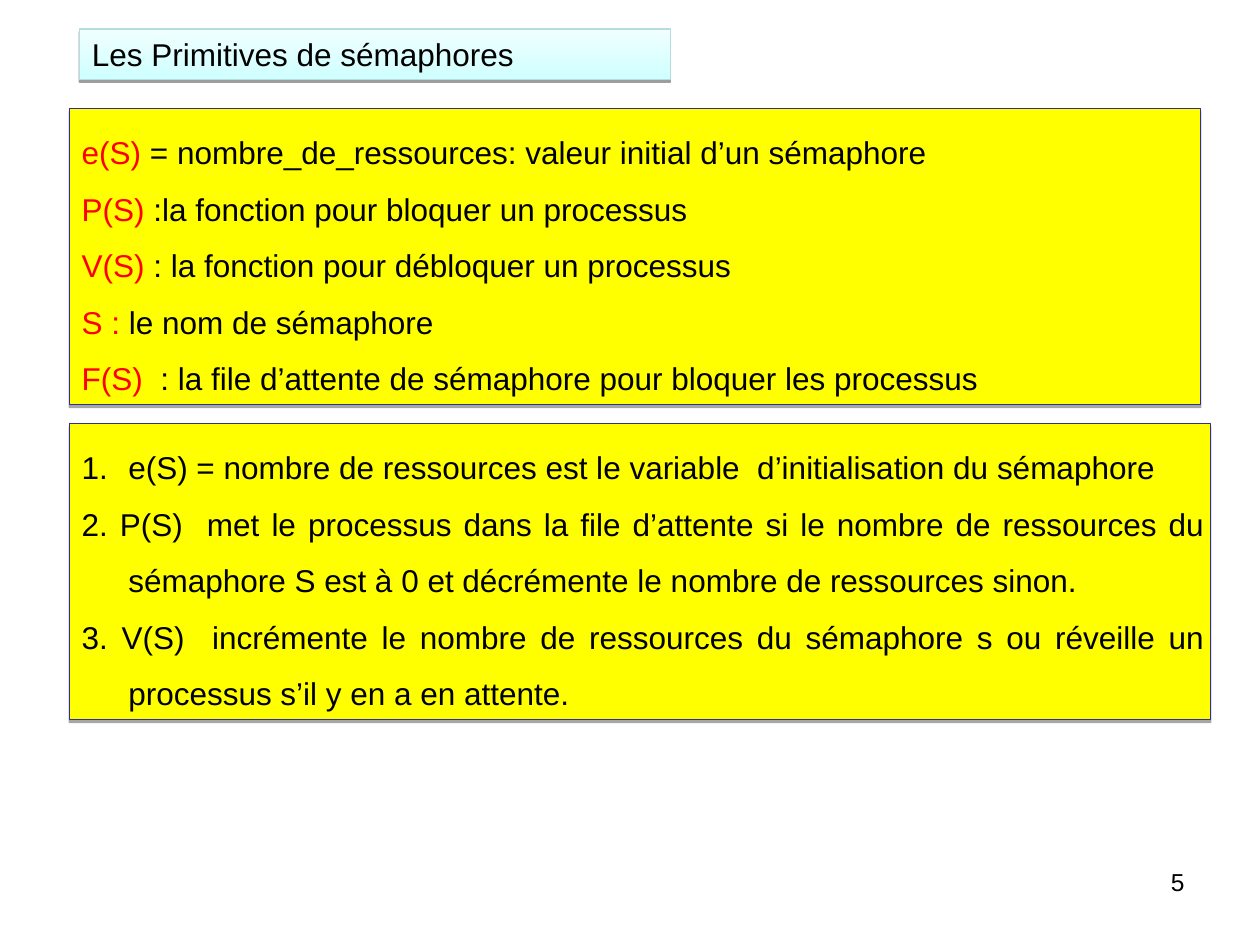
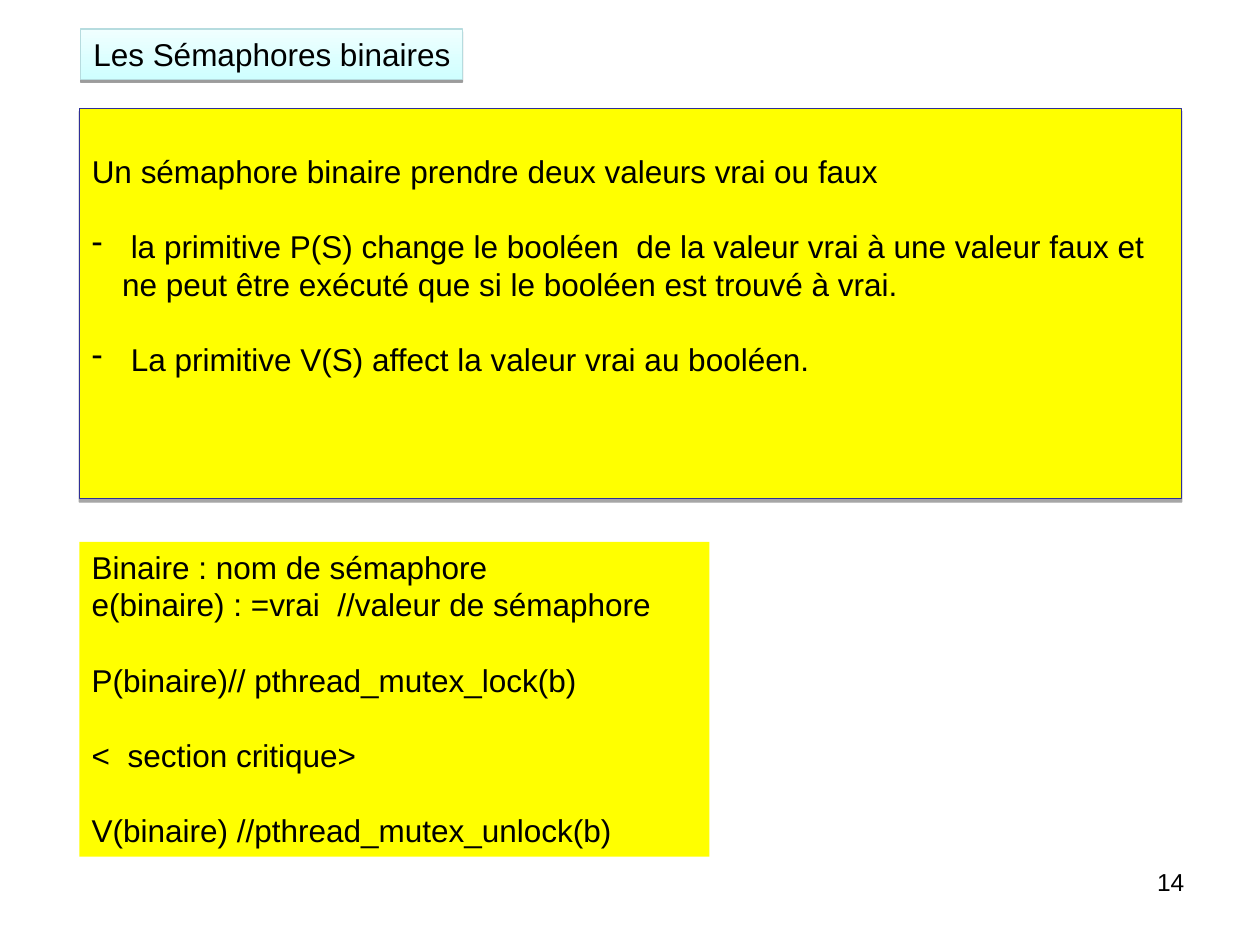
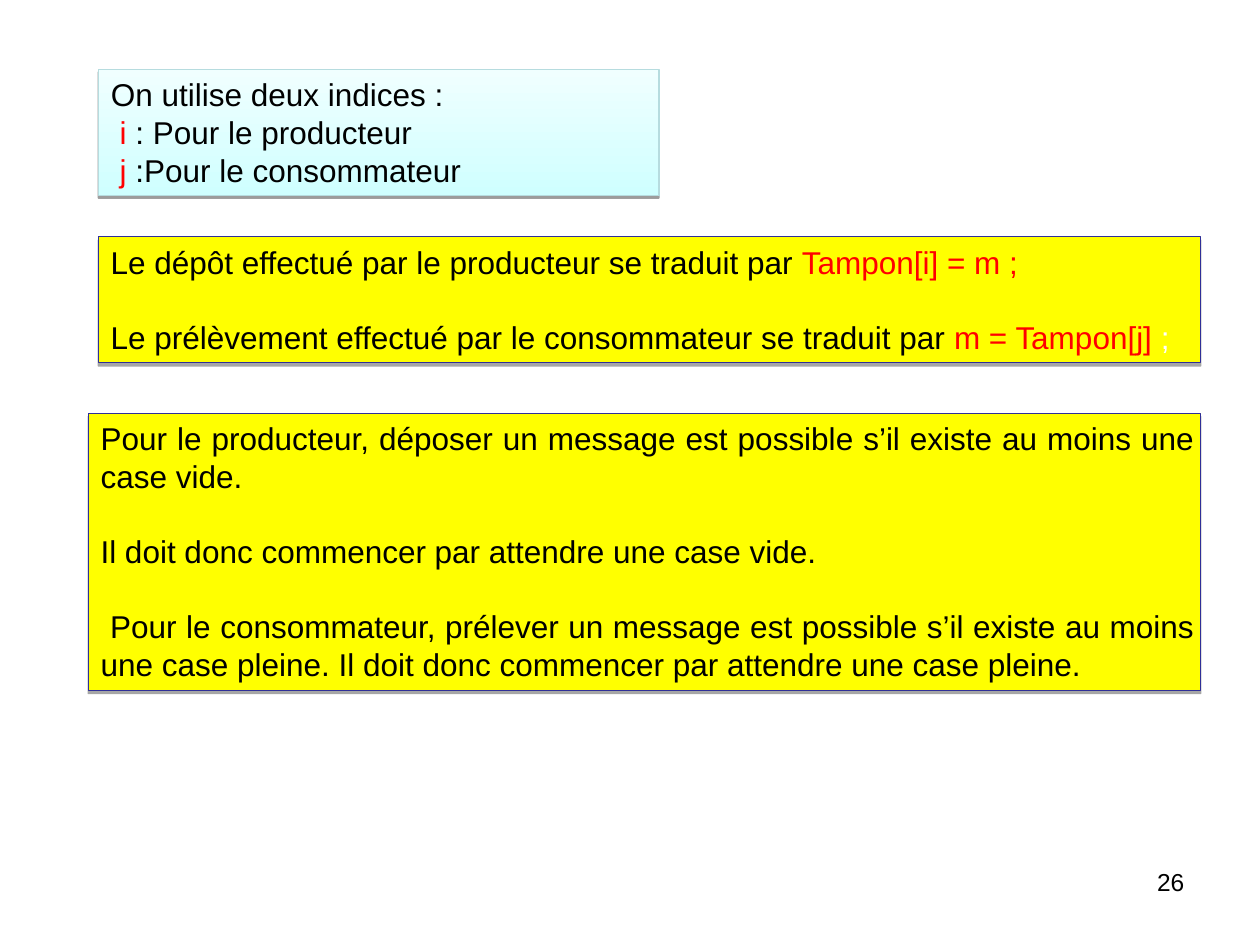
from dataclasses import dataclass
from lxml import etree
from pptx import Presentation, util as u
from pptx.dml.color import RGBColor
from pptx.enum import shapes, text
from pptx.oxml.ns import qn


@dataclass(frozen=True)
class Theme:
    font: str = "Arial"
    size: int = 18
    small: int = 14
    lead: float = 21.5  # height of one line, in points
    ink: str = "000000"
    red: str = "FF0000"
    white: str = "FFFFFF"
    body: str = "FFFF00"
    edge: str = "2F2F98"
    pale: str = "F0FFFF"
    aqua: str = "CFFFFF"
    rim: str = "B6DCDF"


T = Theme()
CELL = u.Inches(0.1)  # grid of 100 columns by 75 rows
COLS, ROWS = 100, 75
rgb = RGBColor.from_string


def write(box, lines, size=T.size, lead=T.lead, align="LEFT", gaps=(), top=0.5,
          hang=0, marks=None):
    """Fill a box; parts between ~ are red, gaps are lines set one line lower."""
    frame = box.text_frame
    frame.word_wrap = True
    frame.auto_size = text.MSO_AUTO_SIZE.NONE
    frame.vertical_anchor = text.MSO_ANCHOR.TOP
    frame.margin_left, frame.margin_right = CELL, CELL // 2
    frame.margin_top, frame.margin_bottom = int(top * CELL), 0
    for i, line in enumerate(lines):
        par = frame.paragraphs[0] if i == 0 else frame.add_paragraph()
        par.alignment = text.PP_ALIGN[align]
        par.line_spacing = u.Pt(lead)
        par.space_before = u.Pt(T.lead if i in gaps else 0)
        if hang:
            prop = par._p.get_or_add_pPr()
            prop.set("marL", str(int(hang * CELL)))
            prop.set("indent", str(int(-hang * CELL)))
            if marks and i in marks:
                tag, key, val = marks[i]
                etree.SubElement(prop, qn(tag)).set(key, val)
        for j, part in enumerate(line.split("~")):
            if part:
                run = par.add_run()
                run.text = part
                run.font.name, run.font.size = T.font, u.Pt(size)
                run.font.color.rgb = rgb(T.red if j % 2 else T.ink)


def frame_box(box, edge, alpha, drop):
    """Give a box its thin line and the hard shadow below it."""
    box.line.color.rgb = rgb(edge)
    box.line.width = u.Pt(0.75)
    box.shadow.inherit = False
    fx = box._element.spPr.find(qn("a:effectLst"))
    cast = etree.SubElement(fx, qn("a:outerShdw"), dist=str(u.Pt(drop)),
                            dir="5400000", rotWithShape="0")
    tone = etree.SubElement(cast, qn("a:srgbClr"), val=T.ink)
    etree.SubElement(tone, qn("a:alpha"), val=str(alpha * 1000))


# Content: number, title place and lines, then body boxes
dash = ("a:buChar", "char", "-")
count = ("a:buAutoNum", "type", "arabicPeriod")
wide = {"lead": 1.5 * T.lead}
pages = [
    (5, (6.3, 2.3, 46.9, 4), ["Les Primitives de sémaphores"], [
        ((5.5, 8.6, 89.8, 23.5), True, [
            "~e(S) ~= nombre_de_ressources: valeur initial d’un sémaphore",
            "~P(S)~ :la fonction pour bloquer un processus",
            "~V(S) ~: la fonction pour débloquer un processus",
            "~S :~ le nom de sémaphore",
            "~F(S)  ~: la file d’attente de sémaphore pour bloquer les processus",
        ], wide),
        ((5.5, 33.6, 90.6, 23.5), True, [
            "e(S) = nombre de ressources est le variable  d’initialisation du sémaphore",
            "2. P(S)  met le processus dans la file d’attente si le nombre de "
            "ressources du sémaphore S est à 0 et décrémente le nombre de "
            "ressources sinon.",
            "3. V(S)  incrémente le nombre de ressources du sémaphore s ou "
            "réveille un processus s’il y en a en attente.",
        ], {**wide, "align": "JUSTIFY", "hang": 3.7, "marks": {0: count}}),
    ]),
    (14, (6.4, 2.3, 30.3, 4), ["Les Sémaphores binaires"], [
        ((6.3, 8.6, 87.5, 31), True, [
            "Un sémaphore binaire prendre deux valeurs vrai ou faux",
            " la primitive P(S) change le booléen  de la valeur vrai à une valeur "
            "faux et ne peut être exécuté que si le booléen est trouvé à vrai.",
            " La primitive V(S) affect la valeur vrai au booléen.",
        ], {"top": 3.5, "gaps": (1, 2), "hang": 2.4, "marks": {1: dash, 2: dash}}),
        ((6.3, 43, 50, 25), False, [
            "Binaire : nom de sémaphore",
            "e(binaire) : =vrai  //valeur de sémaphore",
            "P(binaire)// pthread_mutex_lock(b)",
            "<  section critique>",
            "V(binaire) //pthread_mutex_unlock(b)",
        ], {"gaps": (2, 3, 4)}),
    ]),
    (26, (7.8, 5.5, 44.5, 10), [
        "On utilise deux indices :",
        " ~i~ : Pour le producteur",
        " ~j~ :Pour le consommateur",
    ], [
        ((7.8, 18.8, 87.5, 10), True, [
            "Le dépôt effectué par le producteur se traduit par ~Tampon[i] = m ;",
            "Le prélèvement effectué par le consommateur se traduit par "
            "~m = Tampon[j] ~;",
        ], {"gaps": (1,)}),
        ((7, 32.8, 88.3, 22), True, [
            "Pour le producteur, déposer un message est possible s’il existe au "
            "moins une case vide.",
            "Il doit donc commencer par attendre une case vide.",
            " Pour le consommateur, prélever un message est possible s’il existe "
            "au moins une case pleine. Il doit donc commencer par attendre une "
            "case pleine.",
        ], {"align": "JUSTIFY", "gaps": (1, 2)}),
    ]),
]

deck = Presentation()
deck.slide_width, deck.slide_height = COLS * CELL, ROWS * CELL

for number, place, head, blocks in pages:
    slide = deck.slides.add_slide(deck.slide_layouts[5])

    # Title on a pale gradient
    title = slide.shapes.title
    title.left, title.top, title.width, title.height = [int(v * CELL) for v in place]
    title.fill.gradient()
    title.fill.gradient_angle = 270
    for stop, tone in zip(title.fill.gradient_stops, (T.pale, T.aqua)):
        stop.color.rgb = rgb(tone)
    frame_box(title, T.rim, 38, 1.6)
    write(title, head)

    # Yellow boxes
    for area, framed, lines, style in blocks:
        box = slide.shapes.add_shape(shapes.MSO_SHAPE.RECTANGLE,
                                     *[int(v * CELL) for v in area])
        box.fill.solid()
        box.fill.fore_color.rgb = rgb(T.body)
        if framed:
            frame_box(box, T.edge, 35, 1.8)
        else:
            box.line.fill.background()
            box.shadow.inherit = False
        write(box, lines, **style)
        # The semicolon after the last assignment is white
        last = box.text_frame.paragraphs[-1].runs[-1]
        if last.text == ";":
            last.font.color.rgb = rgb(T.white)

    # Slide number
    foot = slide.shapes.add_textbox(*[int(v * CELL) for v in (71.7, 68.3, 22.8, 5.2)])
    write(foot, [str(number)], size=T.small, lead=17, align="RIGHT")

deck.save("out.pptx")
